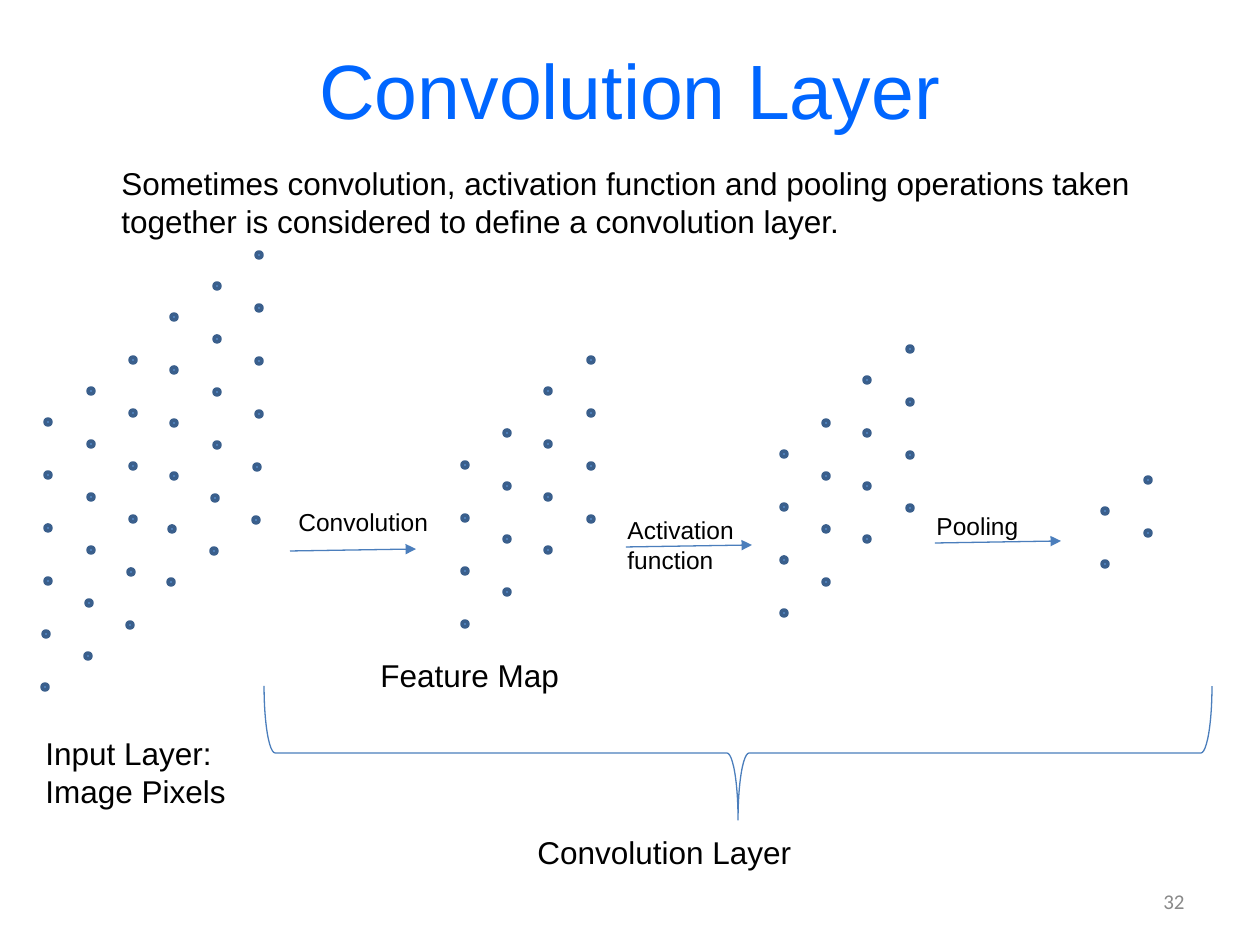
from lxml import etree
from pptx import Presentation
from pptx import util as u
from pptx.dml.color import RGBColor
from pptx.enum import shapes, text
from pptx.oxml.ns import qn

PX = 914400 / 126
TITLE_BLUE = RGBColor(0x00, 0x66, 0xFF)
BLACK = RGBColor(0, 0, 0)
GRAY = RGBColor(0x89, 0x89, 0x89)
DOT_FILL = RGBColor(0x4F, 0x81, 0xBD)
DOT_LINE = RGBColor(0x3A, 0x5F, 0x8C)
LINE_BLUE = RGBColor(0x4B, 0x7E, 0xBC)


def px(*values):
    return [u.Emu(round(v * PX)) for v in values]


def write(sp, lines, size, color, font="Arial", align=text.PP_ALIGN.LEFT):
    tf = sp.text_frame
    tf.text = lines
    for p in tf.paragraphs:
        p.alignment = align
        for r in p.runs:
            r.font.size = u.Pt(size)
            r.font.name = font
            r.font.color.rgb = color
    return tf


prs = Presentation()
prs.slide_width, prs.slide_height = px(1260, 945)
s = prs.slides.add_slide(prs.slide_layouts[5])

# Title
title = s.shapes.title
title.left, title.top, title.width, title.height = px(63, 10, 1134, 158)
tf = write(title, "Convolution Layer", 44, TITLE_BLUE, align=text.PP_ALIGN.CENTER)
tf.vertical_anchor = text.MSO_ANCHOR.MIDDLE

# Slide number
sp = s.shapes.add_textbox(*px(903, 876, 294, 50))
tf = write(sp, "32", 12, GRAY, "Calibri", text.PP_ALIGN.RIGHT)
tf.vertical_anchor = text.MSO_ANCHOR.MIDDLE
tf.word_wrap = True

# Dot grids: centres of the top dot in each column, and the row count
ROW_STEP = 53
DOT = 6
input_tops = [(48, 422), (91, 391), (133, 360), (174, 317), (217, 286), (259, 255)]
feature_tops = [(465, 465), (507, 433), (548, 391), (591, 360)]
activation_tops = [(784, 454), (826, 423), (867, 380), (910, 349)]
pooled_tops = [(1105, 511), (1148, 480)]
row_shift = [0, 0, 0, 0, -2, -3]
for tops, rows in ((input_tops, 6), (feature_tops, 4),
                   (activation_tops, 4), (pooled_tops, 2)):
    for x, y in tops:
        for row in range(rows):
            left = x + row_shift[row] - DOT // 2
            top = y + row * ROW_STEP - DOT // 2
            sp = s.shapes.add_shape(shapes.MSO_SHAPE.OVAL, *px(left, top, DOT, DOT))
            sp.shadow.inherit = False
            sp.fill.solid()
            sp.fill.fore_color.rgb = DOT_FILL
            sp.line.color.rgb = DOT_LINE
            sp.line.width = u.Pt(2)

# Arrows between the stages
for x, y in ((290, 551), (626, 547), (935, 543)):
    line = s.shapes.add_connector(shapes.MSO_CONNECTOR.STRAIGHT,
                                  *px(x, y, x + 126, y - 2))
    line.line.color.rgb = LINE_BLUE
    line.line.width = u.Pt(0.75)
    etree.SubElement(line.line._get_or_add_ln(), qn("a:tailEnd"), type="triangle")
    etree.SubElement(line._element.spPr, qn("a:effectLst"))

# Brace under the three operations
brace = s.shapes.add_shape(shapes.MSO_SHAPE.RIGHT_BRACE, *px(671, 279, 134, 948))
brace.rotation = 90
brace.shadow.inherit = False
brace.fill.background()
brace.line.color.rgb = LINE_BLUE
brace.line.width = u.Pt(0.75)

# Labels
for left, top, width, height, size, lines in (
    (33, 728, 208, 89, 18, "Input Layer:\nImage Pixels"),
    (286, 501, 156, 43, 14, "Convolution"),
    (368, 650, 205, 50, 18, "Feature Map"),
    (615, 509, 132, 72, 14, "Activation\nfunction"),
    (924, 505, 108, 43, 14, "Pooling"),
    (525, 827, 282, 50, 18, "Convolution Layer"),
):
    sp = s.shapes.add_textbox(*px(left, top, width, height))
    tf = write(sp, lines, size, BLACK)
    tf.word_wrap = False
    tf.auto_size = text.MSO_AUTO_SIZE.SHAPE_TO_FIT_TEXT

# Explanation
sp = s.shapes.add_textbox(*px(109, 158, 1041, 89))
tf = write(sp, "Sometimes convolution, activation function and pooling operations "
           "taken together is considered to define a convolution layer.", 18, BLACK)
tf.word_wrap = True
tf.auto_size = text.MSO_AUTO_SIZE.SHAPE_TO_FIT_TEXT

prs.save("out.pptx")
